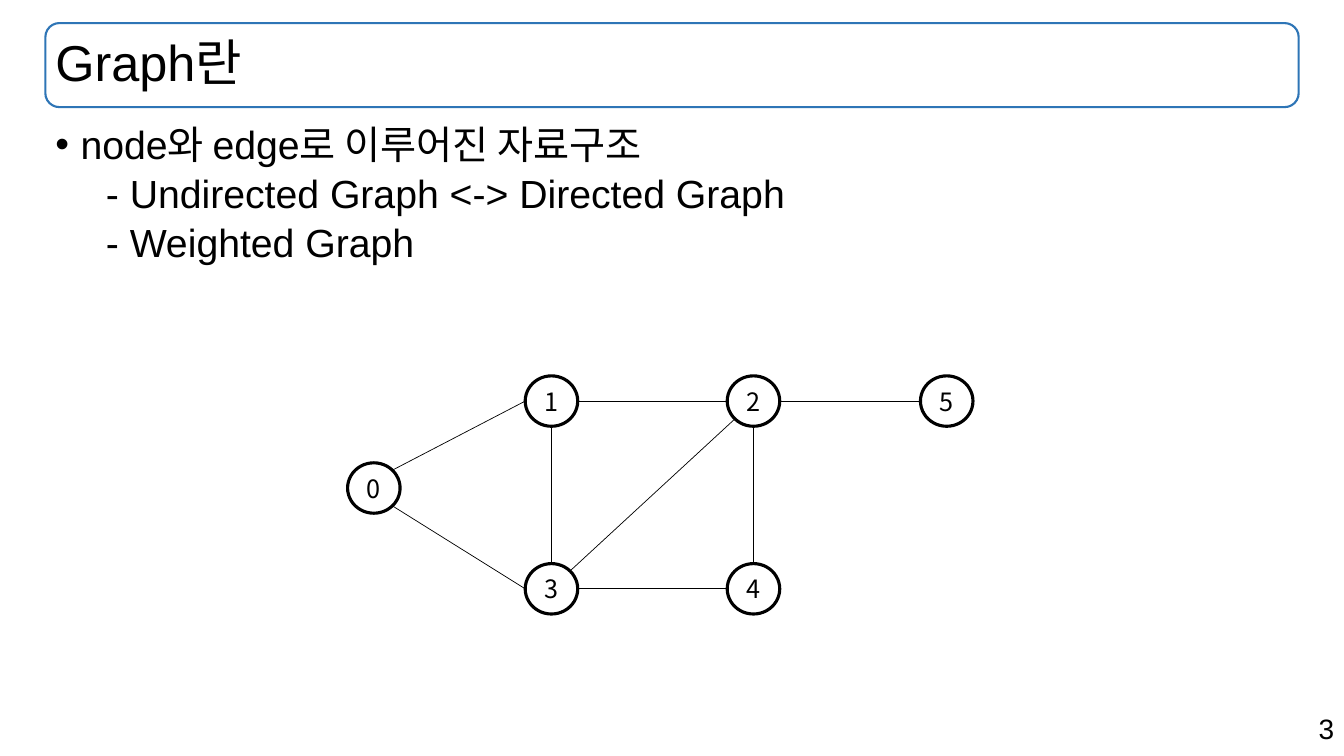
from math import cos, radians, sin

from lxml.etree import SubElement
from pptx import Presentation
from pptx.dml.color import RGBColor
from pptx.enum.shapes import MSO_CONNECTOR as Connector, MSO_SHAPE as Shape
from pptx.enum.text import MSO_ANCHOR as Anchor, MSO_AUTO_SIZE as AutoSize, PP_ALIGN as Align
from pptx.oxml.ns import qn
from pptx.util import Emu, Inches, Pt

BLACK = RGBColor(0x00, 0x00, 0x00)
WHITE = RGBColor(0xFF, 0xFF, 0xFF)
BLUE = RGBColor(0x2E, 0x75, 0xB6)

COLUMNS, ROWS = 160, 90
NODE_WIDTH, NODE_HEIGHT = 6.25, 6
TITLE_AREA = (5.4, 2.75, 149.2, 10)
BODY_AREA = (5.4, 14.3, 149.2, 66.4)
NUMBER_AREA = (113.2, 84.1, 46.8, 5.3)

LINES = [
    ("node와 edge로 이루어진 자료구조", 0),
    ("- Undirected Graph <-> Directed Graph", 1),
    ("- Weighted Graph", 1),
]

TOP, MIDDLE, BOTTOM = 47.75, 58.1, 70.1
NODES = {
    "0": (44.5, MIDDLE),
    "1": (65.65, TOP),
    "2": (89.7, TOP),
    "3": (65.65, BOTTOM),
    "4": (89.7, BOTTOM),
    "5": (112.7, TOP),
}

EAST, SOUTH_EAST, SOUTH, SOUTH_WEST, WEST, NORTH, NORTH_EAST = 0, 45, 90, 135, 180, 270, 315
EDGES = [
    ("0", NORTH_EAST, "1", WEST),
    ("0", SOUTH_EAST, "3", WEST),
    ("1", EAST, "2", WEST),
    ("2", EAST, "5", WEST),
    ("2", SOUTH, "4", NORTH),
    ("1", SOUTH, "3", NORTH),
    ("3", EAST, "4", WEST),
    ("3", NORTH_EAST, "2", SOUTH_WEST),
]


class GraphPage:
    text_font = "Arial"
    node_font = "Noto Sans CJK KR"

    def __init__(self, deck):
        self.cell_width = deck.slide_width / COLUMNS
        self.cell_height = deck.slide_height / ROWS
        self.page = deck.slides.add_slide(deck.slide_layouts[1])
        self.shapes = self.page.shapes

    def point(self, column, row):
        return Emu(round(column * self.cell_width)), Emu(round(row * self.cell_height))

    def area(self, left, top, width, height):
        return *self.point(left, top), *self.point(width, height)

    def move(self, box, area):
        box.left, box.top, box.width, box.height = self.area(*area)

    def style(self, para, size, font, align):
        para.alignment = align
        for span in para.runs:
            span.font.size = Pt(size)
            span.font.name = font
            span.font.color.rgb = BLACK

    def frame(self, area):
        box = self.shapes.add_shape(Shape.ROUNDED_RECTANGLE, *self.area(*area))
        box.shadow.inherit = False
        box.fill.background()
        box.line.color.rgb = BLUE
        box.line.width = Pt(1.5)

    def title(self, text, area):
        box = self.shapes.title
        self.move(box, area)
        box.text_frame.text = text
        box.text_frame.auto_size = AutoSize.NONE
        box.text_frame.vertical_anchor = Anchor.MIDDLE
        para = box.text_frame.paragraphs[0]
        para.line_spacing = 0.9
        self.style(para, 36, self.text_font, Align.LEFT)

    def body(self, lines, area):
        box = self.page.placeholders[1]
        self.move(box, area)
        frame = box.text_frame
        frame.text = "\n".join(text for text, level in lines)
        frame.auto_size = AutoSize.NONE
        for para, (text, level) in zip(frame.paragraphs, lines):
            para.level = level
            para.line_spacing = 0.9
            para.space_before = Pt(5 * level)
            properties = para._p.get_or_add_pPr()
            properties.set("marL", str(Inches(0.25 + 0.5 * level)))
            properties.set("indent", str(Inches(-0.25)))
            if level:
                SubElement(properties, qn("a:buNone"))
            else:
                SubElement(properties, qn("a:buChar")).set("char", "•")
            self.style(para, 28, self.text_font, Align.LEFT)

    def page_number(self, text, area):
        box = self.shapes.add_textbox(*self.area(*area))
        box.text_frame.word_wrap = True
        box.text_frame.text = text
        self.style(box.text_frame.paragraphs[0], 20, self.text_font, Align.RIGHT)

    def rim(self, name, angle):
        column, row = NODES[name]
        turn = radians(angle)
        return self.point(column + NODE_WIDTH / 2 * cos(turn), row + NODE_HEIGHT / 2 * sin(turn))

    def edge(self, start, start_angle, end, end_angle):
        line = self.shapes.add_connector(
            Connector.STRAIGHT, *self.rim(start, start_angle), *self.rim(end, end_angle)
        )
        line.line.color.rgb = BLACK
        line.line.width = Pt(0.5)
        SubElement(line._element.spPr, qn("a:effectLst"))

    def node(self, name):
        column, row = NODES[name]
        area = (column - NODE_WIDTH / 2, row - NODE_HEIGHT / 2, NODE_WIDTH, NODE_HEIGHT)
        circle = self.shapes.add_shape(Shape.OVAL, *self.area(*area))
        circle.shadow.inherit = False
        circle.fill.solid()
        circle.fill.fore_color.rgb = WHITE
        circle.line.color.rgb = BLACK
        circle.line.width = Pt(2.25)
        circle.text_frame.text = name
        circle.text_frame.vertical_anchor = Anchor.MIDDLE
        self.style(circle.text_frame.paragraphs[0], 18, self.node_font, Align.CENTER)


def main():
    deck = Presentation()
    deck.slide_width, deck.slide_height = Inches(13.33), Inches(7.5)
    page = GraphPage(deck)
    page.frame(TITLE_AREA)
    page.title("Graph란", TITLE_AREA)
    page.body(LINES, BODY_AREA)
    page.page_number("3", NUMBER_AREA)
    for edge in EDGES:
        page.edge(*edge)
    for name in NODES:
        page.node(name)
    deck.save("out.pptx")


if __name__ == "__main__":
    main()
